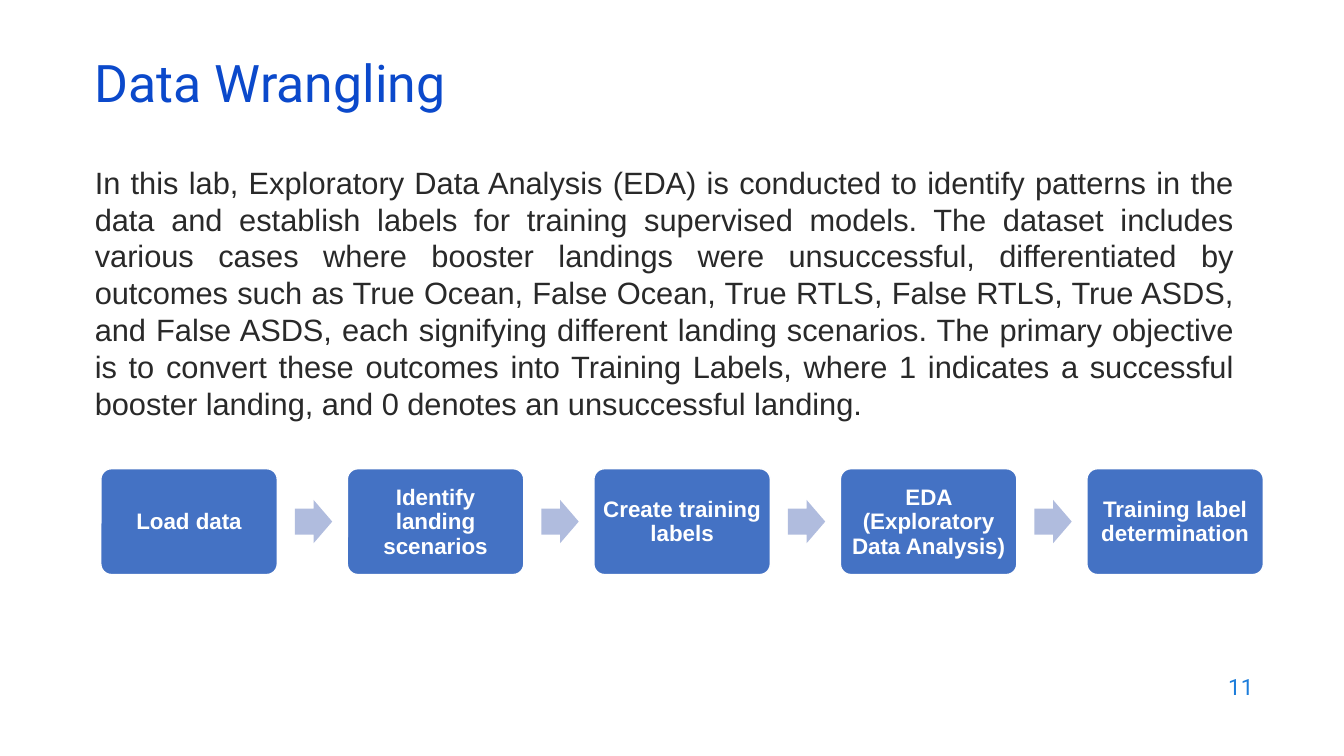
from pptx import Presentation
from pptx.dml.color import RGBColor
from pptx.enum.shapes import MSO_SHAPE as Kind
from pptx.enum.text import MSO_ANCHOR as Anchor, MSO_AUTO_SIZE as Fit, PP_ALIGN as Align
from pptx.oxml.ns import qn
from pptx.util import Inches, Pt

NAVY = RGBColor(0x0B, 0x49, 0xCB)
SKY = RGBColor(0x1C, 0x7D, 0xDB)
INK = RGBColor(0x29, 0x29, 0x29)
BLUE = RGBColor(0x44, 0x72, 0xC4)
PALE = RGBColor(0xB0, 0xBC, 0xDE)
WHITE = RGBColor(0xFF, 0xFF, 0xFF)

BODY = (
    "In this lab, Exploratory Data Analysis (EDA) is conducted to identify patterns "
    "in the data and establish labels for training supervised models. The dataset "
    "includes various cases where booster landings were unsuccessful, differentiated "
    "by outcomes such as True Ocean, False Ocean, True RTLS, False RTLS, True ASDS, "
    "and False ASDS, each signifying different landing scenarios. The primary "
    "objective is to convert these outcomes into Training Labels, where 1 indicates "
    "a successful booster landing, and 0 denotes an unsuccessful landing."
)
STEPS = [
    "Load data",
    "Identify landing scenarios",
    "Create training labels",
    "EDA (Exploratory Data Analysis)",
    "Training label determination",
]


def place(shape, box):
    """Move a shape to a box of left, top, width and height in inches."""
    for name, size in zip(("left", "top", "width", "height"), box):
        setattr(shape, name, Inches(size))


def write(shape, text, font, color, para, frame):
    """Write one paragraph and apply its font, paragraph and frame formats."""
    tf = shape.text_frame
    tf.text = text
    line = tf.paragraphs[0]
    props = line._p.get_or_add_pPr()
    props.set("marL", "0")
    props.set("indent", "0")
    props.append(props.makeelement(qn("a:buNone"), {}))
    frame = {"word_wrap": True, "auto_size": Fit.NONE} | frame
    para = {"space_before": Pt(0)} | para
    for item, form in ((tf, frame), (line, para), (line.font, font)):
        for name, value in form.items():
            setattr(item, name, value)
    line.font.color.rgb = color


def add_title(slide, box):
    """Fill the title placeholder."""
    place(slide.shapes.title, box)
    write(slide.shapes.title, "Data Wrangling", {"name": "Roboto", "size": Pt(37)}, NAVY,
          {"alignment": Align.LEFT, "line_spacing": 0.7},
          {"vertical_anchor": Anchor.MIDDLE})


def add_body(slide, box):
    """Fill the body placeholder with justified text."""
    body = slide.placeholders[1]
    place(body, box)
    write(body, BODY, {"name": "Arial", "size": Pt(22)}, INK,
          {"alignment": Align.JUSTIFY, "line_spacing": 1.0},
          {"vertical_anchor": Anchor.TOP})


def add_part(slide, kind, box, color, adjust):
    """Add a flat filled shape without an outline."""
    part = slide.shapes.add_shape(kind, *map(Inches, box))
    part.shadow.inherit = False
    part.fill.solid()
    part.fill.fore_color.rgb = color
    part.line.fill.background()
    for index, value in enumerate(adjust):
        part.adjustments[index] = value
    return part


def add_flow(slide, box):
    """Spread the steps evenly over the box with an arrow in each gap."""
    left, top, width, height = box
    wide, long, tall = 1.75, 0.37, 0.43
    pitch = (width - wide) / (len(STEPS) - 1)
    pad = {"margin_left": 0.06, "margin_right": 0.06, "margin_top": 0.06, "margin_bottom": 0.04}
    pad = {name: Inches(size) for name, size in pad.items()}
    for index, text in enumerate(STEPS):
        x = left + index * pitch
        if index:
            spot = (x - 0.52, top + (height - tall) / 2, long, tall)
            add_part(slide, Kind.RIGHT_ARROW, spot, PALE, (0.6, 0.5))
        step = add_part(slide, Kind.ROUNDED_RECTANGLE, (x, top, wide, height), BLUE, (0.1,))
        step.line.color.rgb = WHITE
        step.line.width = Pt(1)
        write(step, text, {"name": "Arial", "size": Pt(16), "bold": True}, WHITE,
              {"alignment": Align.CENTER, "line_spacing": 0.9},
              pad | {"vertical_anchor": Anchor.MIDDLE})


def add_page(slide, box):
    """Add the page number."""
    page = slide.shapes.add_textbox(*map(Inches, box))
    write(page, "11", {"name": "Roboto", "size": Pt(16)}, SKY,
          {"alignment": Align.RIGHT}, {"vertical_anchor": Anchor.MIDDLE})


def main():
    """Build and save the slide."""
    deck = Presentation()
    deck.slide_width, deck.slide_height = Inches(13.33), Inches(7.5)
    slide = deck.slides.add_slide(deck.slide_layouts[1])
    add_title(slide, (0.84, 0.59, 11.5, 0.6))
    add_body(slide, (0.84, 1.57, 11.5, 2.44))
    add_flow(slide, (1, 4.65, 11.53, 1.05))
    add_page(slide, (9.53, 6.59, 3, 0.44))
    deck.save("out.pptx")


if __name__ == "__main__":
    main()
